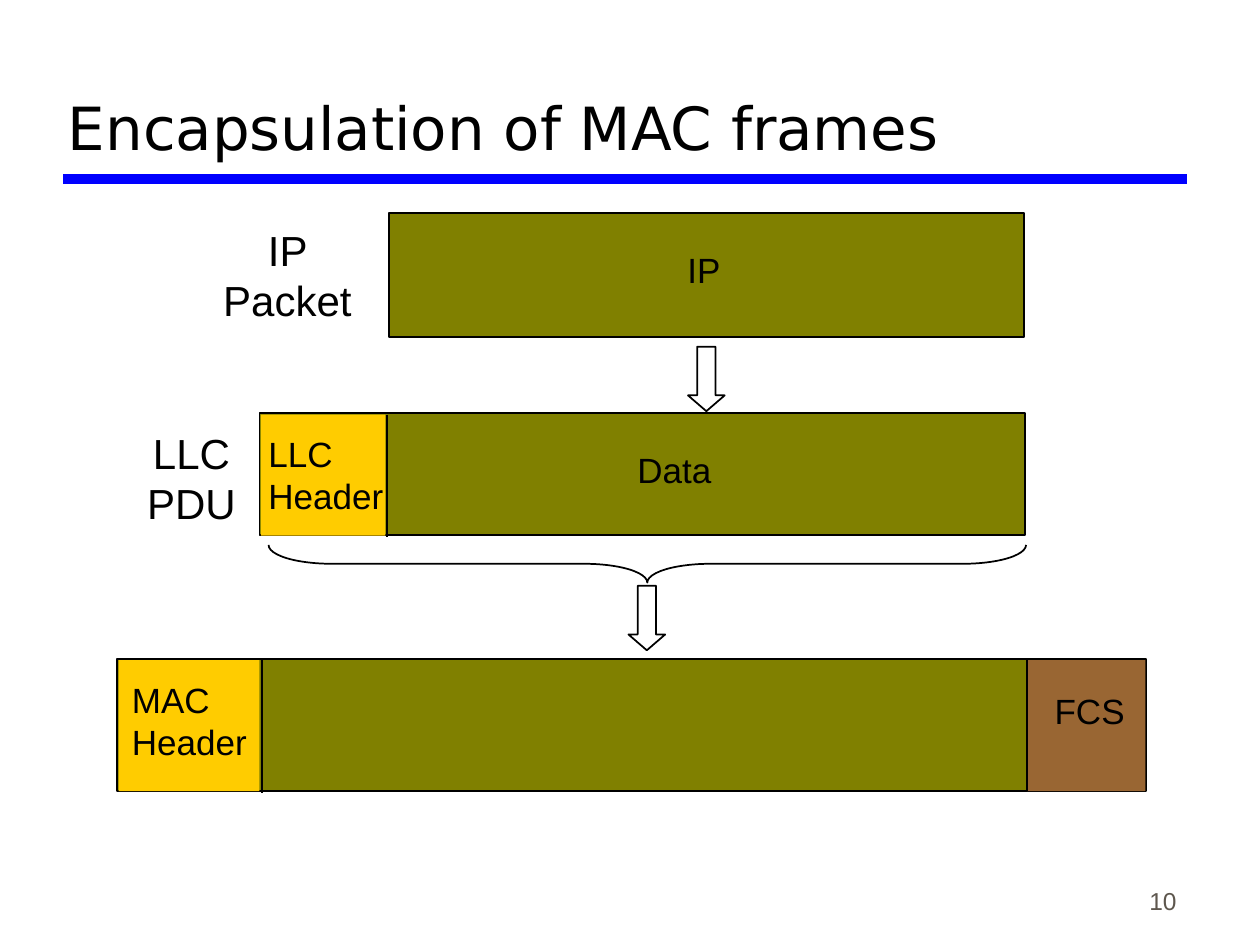
import pptx
import pptx.util
import pptx.dml.color
import pptx.enum.shapes
import pptx.enum.text
import pptx.oxml.ns
import lxml.etree

Cm = pptx.util.Cm
RGBColor = pptx.dml.color.RGBColor
Shape = pptx.enum.shapes.MSO_SHAPE
Align = pptx.enum.text.PP_ALIGN
Anchor = pptx.enum.text.MSO_ANCHOR

BLACK = RGBColor(0, 0, 0)
WHITE = RGBColor(255, 255, 255)
BLUE = RGBColor(0, 0, 255)
OLIVE = RGBColor(128, 128, 0)
GOLD = RGBColor(255, 204, 0)
BROWN = RGBColor(153, 102, 51)
GREY = RGBColor(94, 87, 78)

FRAMES = [
    (7.85, 4.29, 12.8, 2.51),
    (5.23, 8.33, 15.44, 2.46),
    (2.36, 13.28, 20.75, 2.67),
]
FIELDS = [
    (5.26, 8.36, 2.51, 2.44, GOLD),
    (20.7, 13.31, 2.39, 2.64, BROWN),
    (2.39, 13.31, 2.84, 2.64, GOLD),
]
DIVIDERS = [(7.8, 8.36, 10.82), (5.28, 13.31, 15.98), (20.7, 13.31, 15.95)]
ARROWS = [(13.87, 6.99), (12.67, 11.81)]
ARROW_SIZE = (0.74, 1.3)
BRACE = (12.67, 3.73, 0.76, 15.27)

TITLE = {"size": 34, "name": "DejaVu Sans", "color": BLACK,
         "align": Align.LEFT, "anchor": Anchor.BOTTOM, "wrap": True}
FIELD = {**TITLE, "size": 20, "name": "Arial", "anchor": Anchor.TOP}
SHORT_FIELD = {**FIELD, "wrap": False}
UNIT = {**FIELD, "size": 24, "align": Align.CENTER, "anchor": Anchor.MIDDLE}
NUMBER = {**TITLE, "size": 14, "name": "Arial", "color": GREY, "align": Align.RIGHT}

TEXTS = [
    ("Encapsulation of MAC frames", (1.12, 0.43, 22.78, 2.97), TITLE),
    ("IP", (13.61, 4.88, 1.17, 1.09), SHORT_FIELD),
    ("LLC Header", (5.16, 8.59, 2.97, 1.93), FIELD),
    ("Data", (12.6, 8.92, 2.01, 1.09), SHORT_FIELD),
    ("MAC Header", (2.41, 13.56, 3.15, 1.93), FIELD),
    ("FCS", (21.01, 13.77, 1.93, 1.09), SHORT_FIELD),
    ("LLC PDU", (2.26, 8.48, 3.2, 2.29), UNIT),
    ("IP Packet", (4.04, 4.39, 3.51, 2.29), UNIT),
    ("10", (18.69, 17.3, 5.28, 1.27), NUMBER),
]


def add_figure(slide, kind, place, fill=None, outlined=True, adjustments=()):
    shape = slide.shapes.add_shape(kind, *map(Cm, place))
    shape.shadow.inherit = False
    if fill is None:
        shape.fill.background()
    else:
        shape.fill.solid()
        shape.fill.fore_color.rgb = fill
    if outlined:
        shape.line.color.rgb = BLACK
        shape.line.width = pptx.util.Pt(1)
    else:
        shape.line.fill.background()
    for index, value in enumerate(adjustments):
        shape.adjustments[index] = value
    return shape


def add_line(slide, start, end, color, width):
    line = slide.shapes.add_connector(
        pptx.enum.shapes.MSO_CONNECTOR.STRAIGHT, *map(Cm, start + end))
    line.line.color.rgb = color
    line.line.width = pptx.util.Pt(width)
    lxml.etree.SubElement(line._element.spPr, pptx.oxml.ns.qn("a:effectLst"))


def add_text(slide, text, place, style):
    frame = slide.shapes.add_textbox(*map(Cm, place)).text_frame
    frame.word_wrap = style["wrap"]
    frame.vertical_anchor = style["anchor"]
    paragraph = frame.paragraphs[0]
    paragraph.alignment = style["align"]
    run = paragraph.add_run()
    run.text = text
    font_values = {"size": pptx.util.Pt(style["size"]), "name": style["name"]}
    for attribute, value in font_values.items():
        setattr(run.font, attribute, value)
    run.font.color.rgb = style["color"]


def main():
    presentation = pptx.Presentation()
    presentation.slide_width = Cm(25.4)
    presentation.slide_height = Cm(19.05)
    slide = presentation.slides.add_slide(presentation.slide_layouts[6])

    add_line(slide, (1.27, 3.61), (23.93, 3.61), BLUE, 6)
    for place in FRAMES:
        add_figure(slide, Shape.RECTANGLE, place, OLIVE)
    for *place, fill in FIELDS:
        add_figure(slide, Shape.RECTANGLE, place, fill, outlined=False)
    for x, top, bottom in DIVIDERS:
        add_line(slide, (x, top), (x, bottom), BLACK, 1)
    for position in ARROWS:
        add_figure(slide, Shape.DOWN_ARROW, position + ARROW_SIZE, WHITE,
                   adjustments=(0.5, 0.43))
    brace = add_figure(slide, Shape.LEFT_BRACE, BRACE, adjustments=(1.67, 0.5))
    brace.rotation = 270
    for text, place, style in TEXTS:
        add_text(slide, text, place, style)

    presentation.save("out.pptx")


if __name__ == "__main__":
    main()
